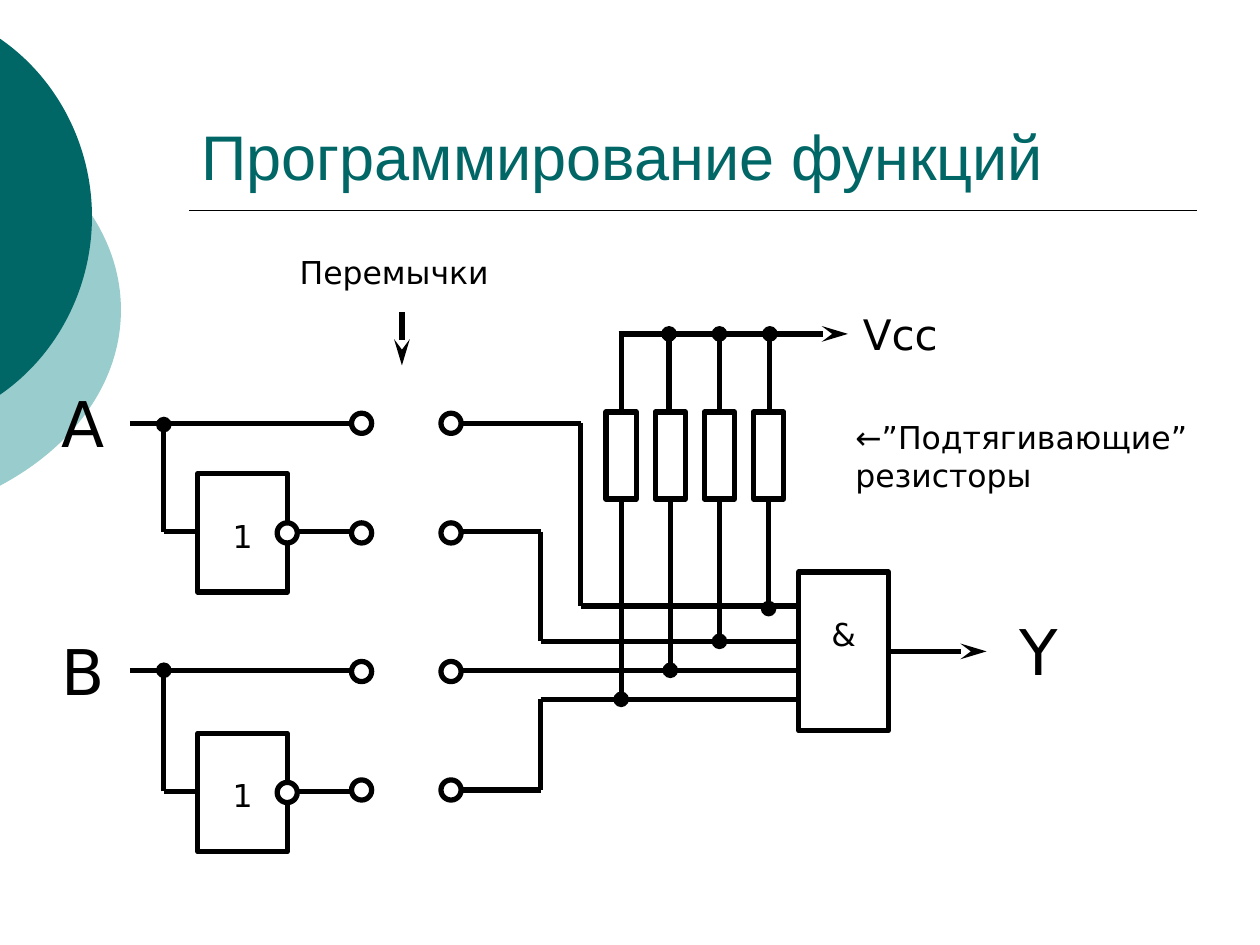
"""Build the slide on programming logic functions with jumpers."""
from lxml.etree import SubElement
from pptx import Presentation
from pptx.dml.color import RGBColor as RGB
from pptx.enum.shapes import MSO_CONNECTOR as CONN, MSO_SHAPE as SHAPE
from pptx.enum.text import MSO_ANCHOR as ANCHOR, PP_ALIGN as ALIGN
from pptx.oxml.ns import qn
from pptx.util import Pt

PX = 9144  # EMU
THEME = {
    "teal": RGB(0x00, 0x66, 0x66), "pale": RGB(0x99, 0xCC, 0xCC),
    "ink": RGB(0, 0, 0), "paper": RGB(255, 255, 255),
    "title": Pt(36), "port": Pt(36), "supply": Pt(24), "note": Pt(18),
    "wire": Pt(3), "rule": Pt(1),
}
TITLE_FONT = {"name": "Arial", "size": THEME["title"]}
TEXT_FRAME = {"word_wrap": True, "vertical_anchor": ANCHOR.TOP}
GATE_FRAME = {**TEXT_FRAME, "margin_top": 34 * PX}
SIDES = ("left", "top", "width", "height")
ARROW = {"type": "stealth", "len": "lg"}
DOT = {"type": "oval"}

prs = Presentation()
prs.slide_width, prs.slide_height = 1000 * PX, 750 * PX
s = prs.slides.add_slide(prs.slide_layouts[5])


def wire(x1, y1, x2, y2, end=None, width=THEME["wire"]):
    c = s.shapes.add_connector(CONN.STRAIGHT, *(v * PX for v in (x1, y1, x2, y2)))
    c.line.color.rgb = THEME["ink"]
    c.line.width = width
    props = c._element.spPr
    if end:
        SubElement(props.find(qn("a:ln")), qn("a:tailEnd"), end)
    SubElement(props, qn("a:effectLst"))


def outline(kind, x, y, w, h, fill=None):
    sp = s.shapes.add_shape(kind, *(v * PX for v in (x, y, w, h)))
    sp.shadow.inherit = False
    sp.line.color.rgb = THEME["ink"]
    sp.line.width = THEME["wire"]
    if fill is None:
        sp.fill.background()
    else:
        sp.fill.solid()
        sp.fill.fore_color.rgb = fill
    return sp


# Corner ornament: each outline is two mirrored Bezier curves
for color, frame, curve in (
    ("pale", (-354, 75, 450, 342), ((-1, 106), (60, 138), (96, 190), (96, 246))),
    ("teal", (-265, 0, 338, 345), ((-1, 30), (46, 62), (73, 116), (73, 172))),
):
    middle = curve[-1][1]
    knots = curve + tuple((x, 2 * middle - y) for x, y in curve[-2::-1])
    fb = s.shapes.build_freeform(*knots[0], scale=PX)
    fb.add_line_segments(knots[1:], close=True)
    sp = fb.convert_to_shape()
    sp.shadow.inherit = False
    sp.fill.solid()
    sp.fill.fore_color.rgb = THEME[color]
    sp.line.fill.background()
    outline_path = next(sp._element.iter(qn("a:path")))
    for attr, value in zip(SIDES, frame):
        setattr(sp, attr, value * PX)
    for attr, value in zip("wh", frame[2:]):
        outline_path.set(attr, str(value))
    points = list(outline_path.iter(qn("a:pt")))
    for pt, knot in zip(points, knots):
        for axis, value, start in zip("xy", knot, frame):
            pt.set(axis, str(value - start))
    segments = outline_path.findall(qn("a:lnTo"))
    for i in (0, 3):
        bezier = SubElement(outline_path, qn("a:cubicBezTo"))
        for segment in segments[i:i + 3]:
            bezier.append(segment[0])
            outline_path.remove(segment)
    outline_path.append(outline_path.find(qn("a:close")))

# Title and rule
title = s.shapes.title
for attr, value in zip(SIDES, (150, 33, 800, 125)):
    setattr(title, attr, value * PX)
tf = title.text_frame
tf.vertical_anchor = ANCHOR.BOTTOM
p = tf.paragraphs[0]
p.alignment = ALIGN.LEFT
r = p.add_run()
r.text = "Программирование функций"
for attr, value in TITLE_FONT.items():
    setattr(r.font, attr, value)
r.font.color.rgb = THEME["teal"]
wire(150, 167, 950, 167, width=THEME["rule"])

# Inputs, each with its inverter branch
texts = []
for input_y, dot_y, branch_y, gate_y in ((336, 337, 422, 376), (532, 532, 628, 582)):
    wire(103, input_y, 279, input_y)
    wire(130, branch_y, 130, dot_y, DOT)
    wire(130, branch_y, 157, branch_y)
    wire(233, branch_y, 287, branch_y)
    gate = outline(SHAPE.RECTANGLE, 157, gate_y, 71, 94)
    texts.append((gate, "1", "note", ALIGN.CENTER, GATE_FRAME))
    outline(SHAPE.OVAL, 220, branch_y - 7, 16, 16, THEME["paper"])

# Lines to the AND gate and jumper pads
wire(358, 532, 634, 532)
for pad_y, step_x, bus_y in ((336, 461, 481), (422, 429, 509), (627, 429, 555)):
    wire(358, pad_y, step_x, pad_y)
    wire(step_x, pad_y, step_x, bus_y)
    wire(step_x, bus_y, 634, bus_y)
for y in (328, 415, 525, 619):
    for x in (279, 350):
        outline(SHAPE.OVAL, x, y, 16, 16, THEME["paper"])

# Pull-up resistors
for i, (top_x, bus_y) in enumerate(((493, 555), (531, 532), (571, 509), (611, 483))):
    x = 493 + 39 * i
    wire(top_x, 327, top_x, 265, DOT if i else None)
    outline(SHAPE.RECTANGLE, x - 12, 327, 24, 69)
    wire(x, 396, x, bus_y, DOT)

# AND gate and arrows
gate = outline(SHAPE.RECTANGLE, 634, 454, 71, 126)
texts.append((gate, "&", "note", ALIGN.CENTER, GATE_FRAME))
for ends in ((705, 517, 783, 517), (491, 265, 673, 265), (319, 248, 319, 290)):
    wire(*ends, ARROW)

# Labels
for text, size, box in (
    ("A", "port", (39, 300, 63, 71)),
    ("B", "port", (39, 497, 63, 71)),
    ("Y", "port", (799, 481, 63, 71)),
    ("Vcc", "supply", (675, 240, 149, 50)),
    ("←”Подтягивающие” резисторы", "note", (669, 327, 295, 71)),
    ("Перемычки", "note", (228, 196, 207, 40)),
):
    label = s.shapes.add_textbox(*(v * PX for v in box))
    texts.append((label, text, size, ALIGN.LEFT, TEXT_FRAME))

for sp, text, size, align, frame in texts:
    tf = sp.text_frame
    for attr, value in frame.items():
        setattr(tf, attr, value)
    p = tf.paragraphs[0]
    p.alignment = align
    r = p.add_run()
    r.text = text
    for attr, value in {"name": "DejaVu Sans", "size": THEME[size]}.items():
        setattr(r.font, attr, value)
    r.font.color.rgb = THEME["ink"]

prs.save("out.pptx")
